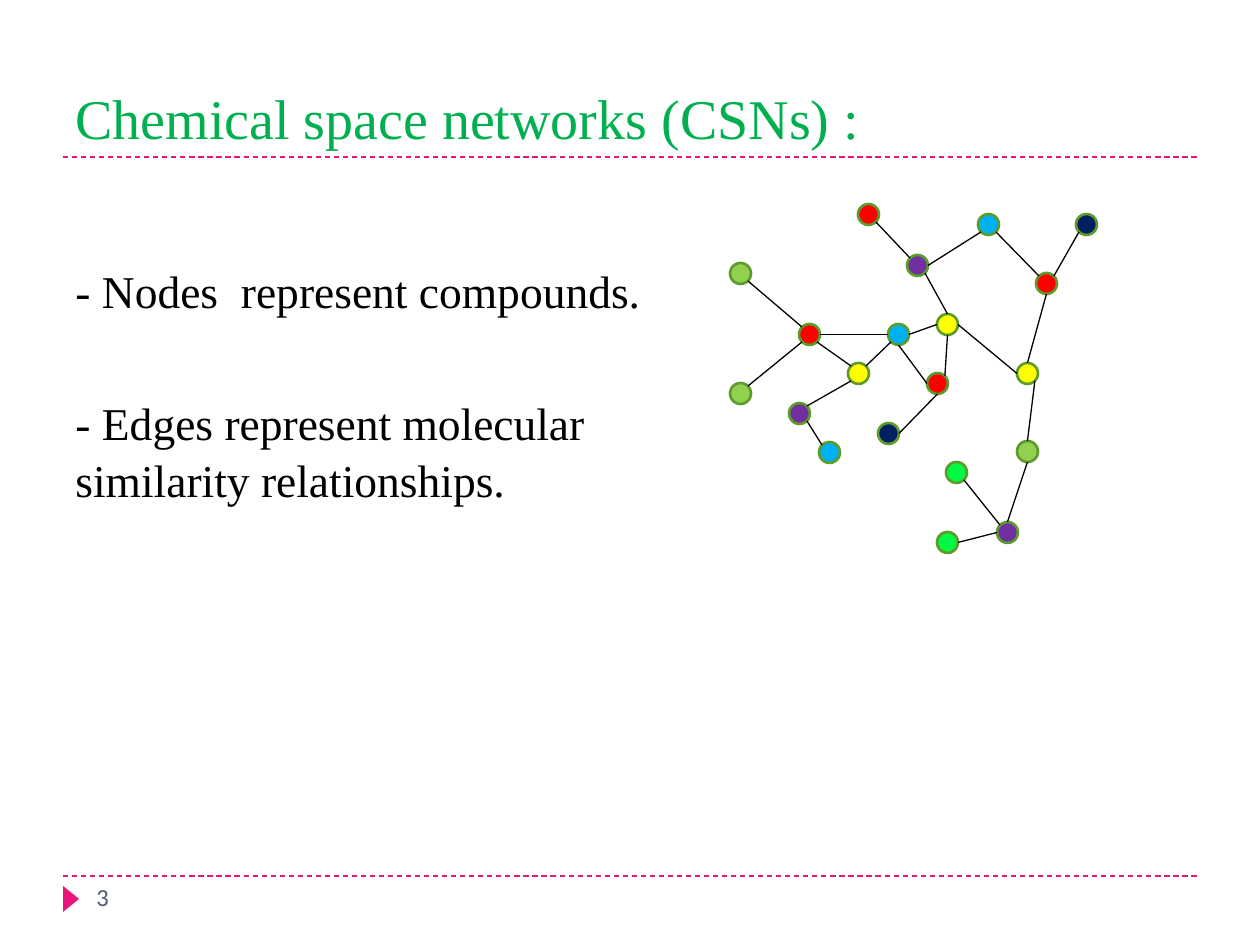
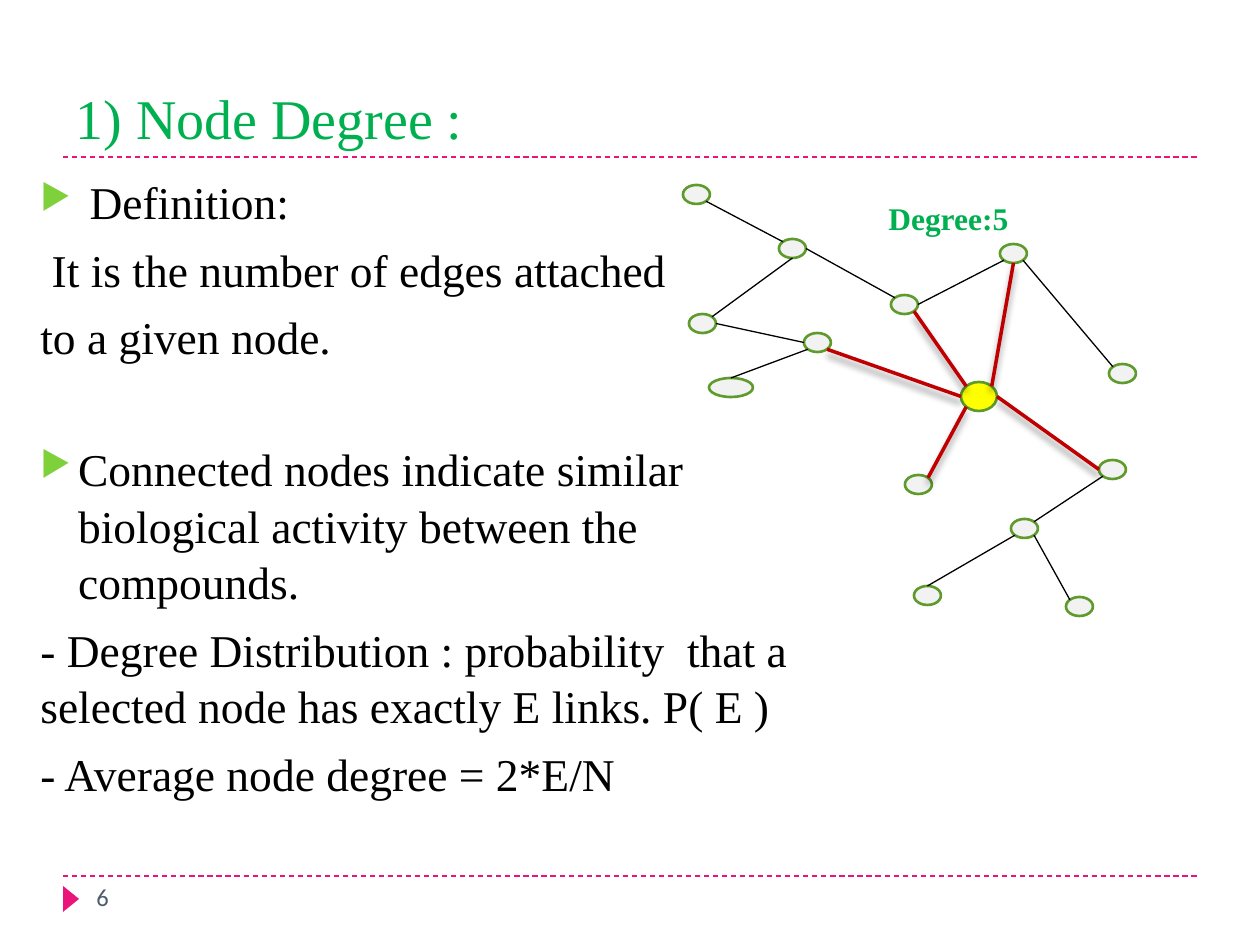
from lxml.etree import SubElement
from pptx import Presentation
from pptx.dml.color import RGBColor
from pptx.enum.dml import MSO_LINE
from pptx.enum.shapes import MSO_CONNECTOR, MSO_SHAPE
from pptx.enum.text import MSO_ANCHOR
from pptx.oxml.ns import qn
from pptx.util import Emu, Pt

SCALE = 914400 // 126  # EMU in one pixel
SERIF, SANS = "Times New Roman", "Calibri"
COLORS = {
    "accent": "EA157A", "title": "00B050", "number": "4E5B6F",
    "text": "000000", "bullet": "7FD13B", "outline": "5E9B2C",
    "yellow": "FFFF00", "red": "FF0000", "blue": "00B0F0", "lime": "92D050",
    "navy": "002060", "green": "02F842", "violet": "7030A0",
    "pale": "F2F2F2", "highlight": "C00000",
}
# Unit offsets of the eight connection sites of an ellipse
DIAGONAL = 0.71
SITES = {
    "N": (0, -1), "S": (0, 1), "W": (-1, 0), "E": (1, 0),
    "NW": (-DIAGONAL, -DIAGONAL), "NE": (DIAGONAL, -DIAGONAL),
    "SW": (-DIAGONAL, DIAGONAL), "SE": (DIAGONAL, DIAGONAL),
}


def px(length):
    return Emu(round(length * SCALE))


def rgb(name):
    return RGBColor.from_string(COLORS[name])


def add_bullet(paragraph):
    props = paragraph._p.get_or_add_pPr()
    props.set("marL", "274320")
    props.set("indent", "-274320")
    color = SubElement(props, qn("a:buClr"))
    SubElement(color, qn("a:srgbClr"), val=COLORS["bullet"])
    SubElement(props, qn("a:buSzPct"), val="76000")
    SubElement(props, qn("a:buChar"), char="\u25b6")


def add_text(slide, box, paragraphs, size=26, font=SERIF, color="text",
             bold=False, anchor=MSO_ANCHOR.TOP, spacing=None):
    """Each paragraph is (text, space before in points, has a bullet)."""
    frame = slide.shapes.add_textbox(*map(px, box)).text_frame
    frame.word_wrap = True
    frame.vertical_anchor = anchor
    for index, (text, before, bulleted) in enumerate(paragraphs):
        paragraph = frame.add_paragraph() if index else frame.paragraphs[0]
        paragraph.space_before = Pt(before)
        if spacing:
            paragraph.line_spacing = spacing
        if bulleted:
            add_bullet(paragraph)
        run = paragraph.add_run()
        run.text = text
        run.font.size, run.font.name, run.font.bold = Pt(size), font, bold
        run.font.color.rgb = rgb(color)


def add_line(slide, start, end, color="text", width=0.75, dashed=False,
             shadow=False):
    line = slide.shapes.add_connector(
        MSO_CONNECTOR.STRAIGHT, *map(px, (*start, *end)))
    line.line.color.rgb = rgb(color)
    line.line.width = Pt(width)
    if dashed:
        line.line.dash_style = MSO_LINE.DASH
    effects = SubElement(line._element.spPr, qn("a:effectLst"))
    if shadow:
        outer = SubElement(effects, qn("a:outerShdw"), blurRad=str(Pt(4)),
                           dist=str(Pt(3.4)), dir="5400000", rotWithShape="0")
        black = SubElement(outer, qn("a:srgbClr"), val="000000")
        SubElement(black, qn("a:alpha"), val="40000")


def add_solid(slide, kind, box, fill, outline=None):
    solid = slide.shapes.add_shape(kind, *map(px, box))
    solid.shadow.inherit = False
    solid.fill.solid()
    solid.fill.fore_color.rgb = rgb(fill)
    if outline:
        solid.line.color.rgb = rgb(outline)
        solid.line.width = Pt(1.5)
    else:
        solid.line.fill.background()
    return solid


def add_frame(slide, box, title, number):
    """Title, dashed rules and footer that every slide shares."""
    left, top, width, height = box
    title_bottom, footer_top = top + 136, top + height
    for y in (footer_top, title_bottom):
        add_line(slide, (left, y), (left + width, y), "accent", dashed=True)
    marker = add_solid(slide, MSO_SHAPE.ISOSCELES_TRIANGLE,
                       (left - 5, footer_top + 15, 26, 16), "accent")
    marker.rotation = 90
    add_text(slide, (left, top, width, 136), [(title, 0, False)], size=32,
             color="title", anchor=MSO_ANCHOR.BOTTOM)
    add_text(slide, (left + 21, footer_top, 273, 50), [(number, 0, False)],
             size=14, font=SANS, color="number")


def add_network(slide, origin, nodes, edges, highlighted=()):
    """Nodes are name: (x, y, width, height, fill), offset from origin.
    An edge reads "node site node site"."""
    left, top = origin
    for x, y, width, height, fill in nodes.values():
        add_solid(slide, MSO_SHAPE.OVAL, (left + x, top + y, width, height),
                  fill, "outline")

    def site_point(name, site):
        x, y, width, height, _ = nodes[name]
        dx, dy = SITES[site]
        return (left + x + width / 2 * (1 + dx),
                top + y + height / 2 * (1 + dy))

    def connect(edge, **style):
        first, leaving, second, arriving = edge.split()
        add_line(slide, site_point(first, leaving),
                 site_point(second, arriving), **style)

    for edge in highlighted:
        connect(edge, color="highlight", width=2, shadow=True)
    for edge in edges:
        connect(edge)


def build_csn_slide(slide):
    add_frame(slide, FRAME, "Chemical space networks (CSNs) :", "3")
    add_text(slide, (63, 255, 712, 680), [
        ("- Nodes  represent compounds.", 6, False),
        ("- Edges represent molecular similarity relationships. ", 43, False),
    ], spacing=1.04)

    # Compounds, coloured by kind
    places = {
        "center": (207, 110, "yellow"), "red_e": (306, 69, "red"),
        "blue_n": (248, 10, "blue"), "yellow_e": (287, 159, "yellow"),
        "lime_e": (287, 237, "lime"), "yellow_w": (118, 159, "yellow"),
        "blue_mid": (158, 120, "blue"), "red_w": (69, 120, "red"),
        "lime_nw": (0, 59, "lime"), "red_s": (197, 169, "red"),
        "navy_s": (148, 219, "navy"), "green_n": (216, 258, "green"),
        "blue_s": (89, 238, "blue"), "lime_sw": (0, 179, "lime"),
        "violet_w": (59, 199, "violet"), "violet_n": (177, 51, "violet"),
        "violet_s": (267, 318, "violet"), "green_s": (207, 328, "green"),
        "navy_n": (346, 10, "navy"), "red_n": (128, 0, "red"),
    }
    nodes = {name: (x, y, 21, 21, fill)
             for name, (x, y, fill) in places.items()}
    edges = [
        "navy_n SW red_e NE", "red_e S yellow_e N", "blue_n SE red_e NW",
        "center E yellow_e W", "yellow_e SE lime_e N",
        "blue_n SW violet_n E", "center W blue_mid E",
        "violet_n SE center N", "center S red_s NE", "blue_mid W red_w E",
        "blue_mid S red_s W", "blue_mid SW yellow_w NE",
        "red_w SW lime_sw NE", "red_w SE yellow_w NW",
        "yellow_w SW violet_w NE", "violet_w SE blue_s NW",
        "red_s S navy_s E", "red_n SE violet_n NW", "lime_nw SE red_w NW",
        "lime_e S violet_s N", "green_n SE violet_s NW",
        "violet_s W green_s E",
    ]
    add_network(slide, (730, 204), nodes, edges)


def build_degree_slide(slide):
    add_frame(slide, FRAME, "1) Node Degree :", "6")
    add_text(slide, (28, 166, 848, 673), [
        (" Definition:", 6, True),
        (" It is the number of edges attached ", 6, False),
        ("to a given node.", 6, False),
        ("Connected nodes indicate similar biological activity between "
         "the compounds. ", 43, True),
        ("- Degree Distribution : probability  that a selected node has "
         "exactly E links. P( E )", 6, False),
        ("- Average node degree = 2*E/N", 6, False),
    ], spacing=1.04)
    add_text(slide, (876, 193, 203, 50), [("Degree:5", 0, False)], size=18,
             color="title", bold=True)

    # Neighbours around the hub, then the nodes further out
    places = {
        "west": (121, 148), "south": (222, 290), "far_w": (6, 129),
        "upper": (96, 54), "far_nw": (0, 0), "north": (208, 110),
        "north_e": (317, 59), "far_e": (426, 179), "east": (416, 275),
        "lower": (328, 334), "far_s": (231, 401), "far_se": (383, 412),
    }
    nodes = {name: (x, y, 27, 19, "pale") for name, (x, y) in places.items()}
    nodes["wide"] = (26, 193, 44, 19, "pale")
    nodes["hub"] = (278, 197, 36, 29, "yellow")
    hub_edges = ["north_e S hub NE", "north SE hub NW", "hub W west SE",
                 "hub SW south NE", "hub E east W"]
    edges = [
        "far_e NW north_e SE", "north_e SW north E", "north NW upper E",
        "upper NW far_nw SE", "upper S far_w NE", "west W far_w E",
        "wide N west SW", "lower NE east SW", "lower SE far_se NW",
        "far_s N lower SW",
    ]
    add_network(slide, (683, 185), nodes, edges, hub_edges)


FRAME = (63, 21, 1134, 855)
deck = Presentation()
deck.slide_width, deck.slide_height = px(1260), px(945)
blank = deck.slide_layouts[6]
for build in (build_csn_slide, build_degree_slide):
    build(deck.slides.add_slide(blank))
deck.save("out.pptx")
